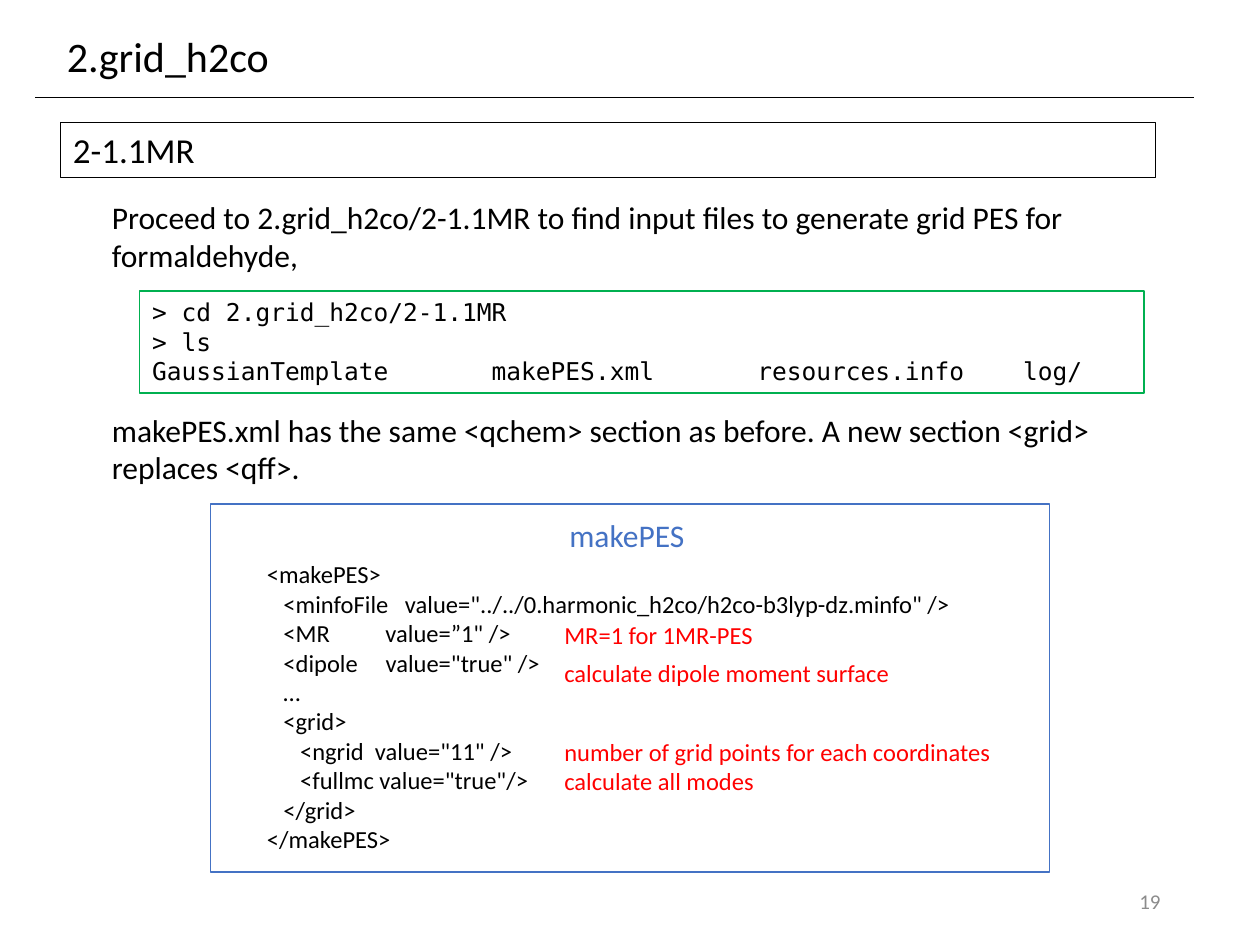
from pptx import Presentation
from pptx import util as u
from pptx.dml.color import RGBColor
from pptx.enum import shapes, text
from pptx.oxml.ns import qn
from lxml import etree

PX = u.Inches(1) // 100  # 100 px to the inch
BLACK, RED, BLUE, GREEN, GREY = "000000", "FF0000", "4472C4", "00B050", "8C8C8C"
SANS, MONO = "Calibri", "DejaVu Sans Mono"


def color(hex_value):
    return RGBColor.from_string(hex_value)


def set_all(target, values):
    for key, value in values.items():
        setattr(target, key, value)


class SlideBuilder:
    def __init__(self, slide, font=SANS, ink=BLACK):
        self.slide, self.font, self.ink = slide, font, ink

    def fill_text(self, shape, lines, size, ink=None, font=None, wrap=True,
                  align=text.PP_ALIGN.LEFT, anchor=text.MSO_ANCHOR.TOP):
        frame = shape.text_frame
        set_all(frame, {"word_wrap": wrap, "vertical_anchor": anchor,
                        "auto_size": text.MSO_AUTO_SIZE.NONE})
        for i, line in enumerate(lines):
            paragraph = frame.add_paragraph() if i else frame.paragraphs[0]
            paragraph.alignment = align
            run = paragraph.add_run()
            run.text = line
            set_all(run.font, {"name": font or self.font, "size": u.Pt(size)})
            run.font.color.rgb = color(ink or self.ink)

    def title(self, box, line, size):
        title = self.slide.shapes.title
        set_all(title, dict(zip(("left", "top", "width", "height"),
                                (n * PX for n in box))))
        self.fill_text(title, [line], size, wrap=False)

    def label(self, box, lines, size, **style):
        shape = self.slide.shapes.add_textbox(*(n * PX for n in box))
        self.fill_text(shape, lines, size, **style)

    def frame(self, box, outline, weight, lines=(), size=14, **style):
        shape = self.slide.shapes.add_shape(
            shapes.MSO_SHAPE.RECTANGLE, *(n * PX for n in box))
        shape.shadow.inherit = False
        shape.fill.background()
        shape.line.color.rgb = color(outline)
        shape.line.width = u.Pt(weight)
        self.fill_text(shape, lines, size, **style)

    def rule(self, left, right, y, weight):
        line = self.slide.shapes.add_connector(
            shapes.MSO_CONNECTOR.STRAIGHT, left * PX, y * PX, right * PX, y * PX)
        line.line.color.rgb = color(self.ink)
        line.line.width = u.Pt(weight)
        etree.SubElement(line._element.spPr, qn("a:effectLst"))


def main():
    prs = Presentation()
    set_all(prs, {"slide_width": 1000 * PX, "slide_height": 750 * PX})
    page = SlideBuilder(prs.slides.add_slide(prs.slide_layouts[5]))

    # Heading and section
    page.title((43, 19, 182, 50), "2.grid_h2co", 24)
    page.rule(28, 948, 77, 0.5)
    page.frame((48, 97, 869, 44), BLACK, 0.75, ["2-1.1MR"], 20)

    # Explanations
    explanations = {
        152: "Proceed to 2.grid_h2co/2-1.1MR to find input files to generate "
             "grid PES for formaldehyde,",
        321: "makePES.xml has the same <qchem> section as before. "
             "A new section <grid> replaces <qff>.",
    }
    for top, sentence in explanations.items():
        page.label((79, top, 830, 71), [sentence], 18)

    # Terminal session
    session = [
        "> cd 2.grid_h2co/2-1.1MR",
        "> ls",
        "GaussianTemplate       makePES.xml       resources.info    log/",
    ]
    page.frame((111, 231, 797, 81), GREEN, 0.75, session, 14, font=MONO)

    # Input file listing
    page.frame((167, 400, 666, 292), BLUE, 1)
    page.label((442, 405, 112, 40), ["makePES"], 18, ink=BLUE, wrap=False)
    makepes_xml = [
        '<makePES>',
        '   <minfoFile   value="../../0.harmonic_h2co/h2co-b3lyp-dz.minfo" />',
        '   <MR          value=”1" />',
        '   <dipole     value="true" />',
        '   …',
        '   <grid>',
        '      <ngrid  value="11" />',
        '      <fullmc value="true"/>',
        '   </grid>',
        '</makePES>',
    ]
    page.label((202, 439, 566, 246), makepes_xml, 14, wrap=False)

    # Remarks beside the listing: top, width, wording
    remarks = [
        (487, 171, "MR=1 for 1MR-PES"),
        (517, 289, "calculate dipole moment surface"),
        (580, 361, "number of grid points for each coordinates"),
        (603, 172, "calculate all modes"),
    ]
    for top, width, remark in remarks:
        page.label((438, top, width, 34), [remark], 14, ink=RED, wrap=False)

    # Page number
    page.label((706, 695, 225, 40), ["19"], 12, ink=GREY,
               align=text.PP_ALIGN.RIGHT, anchor=text.MSO_ANCHOR.MIDDLE)

    prs.save("out.pptx")


if __name__ == "__main__":
    main()
